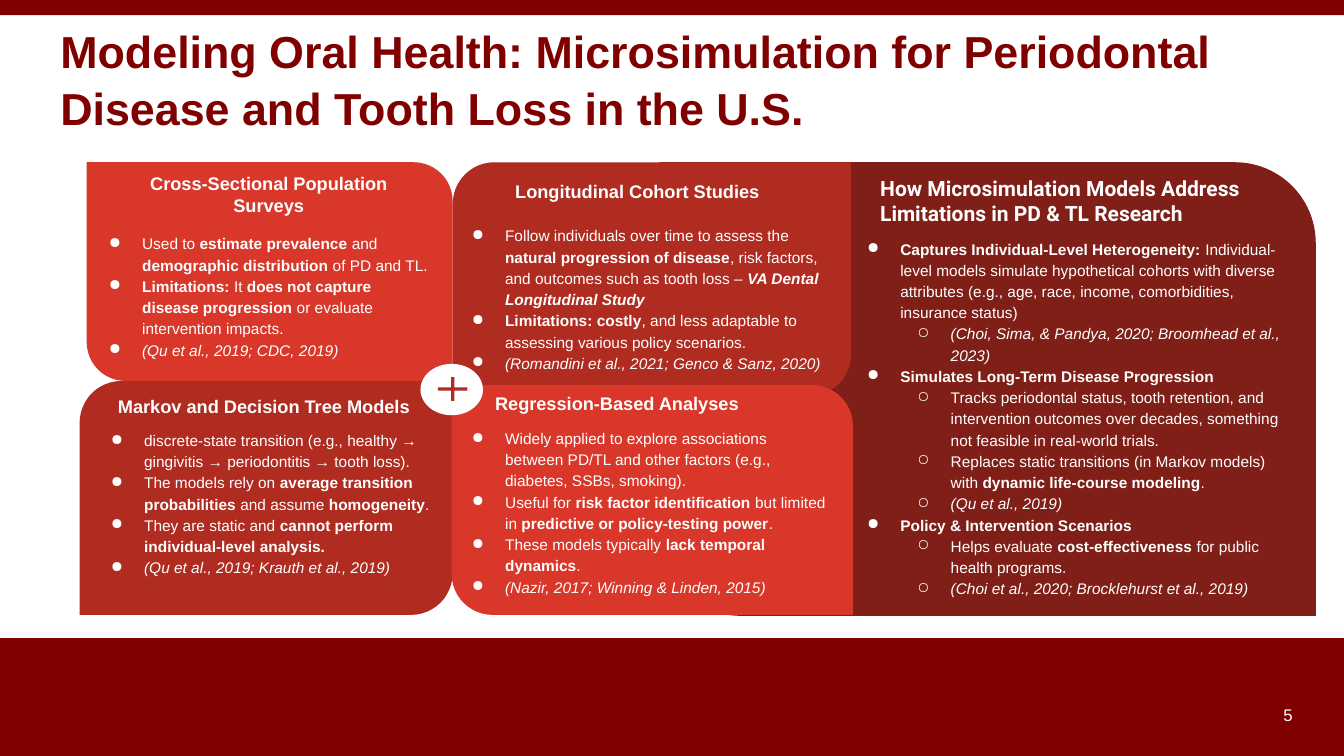
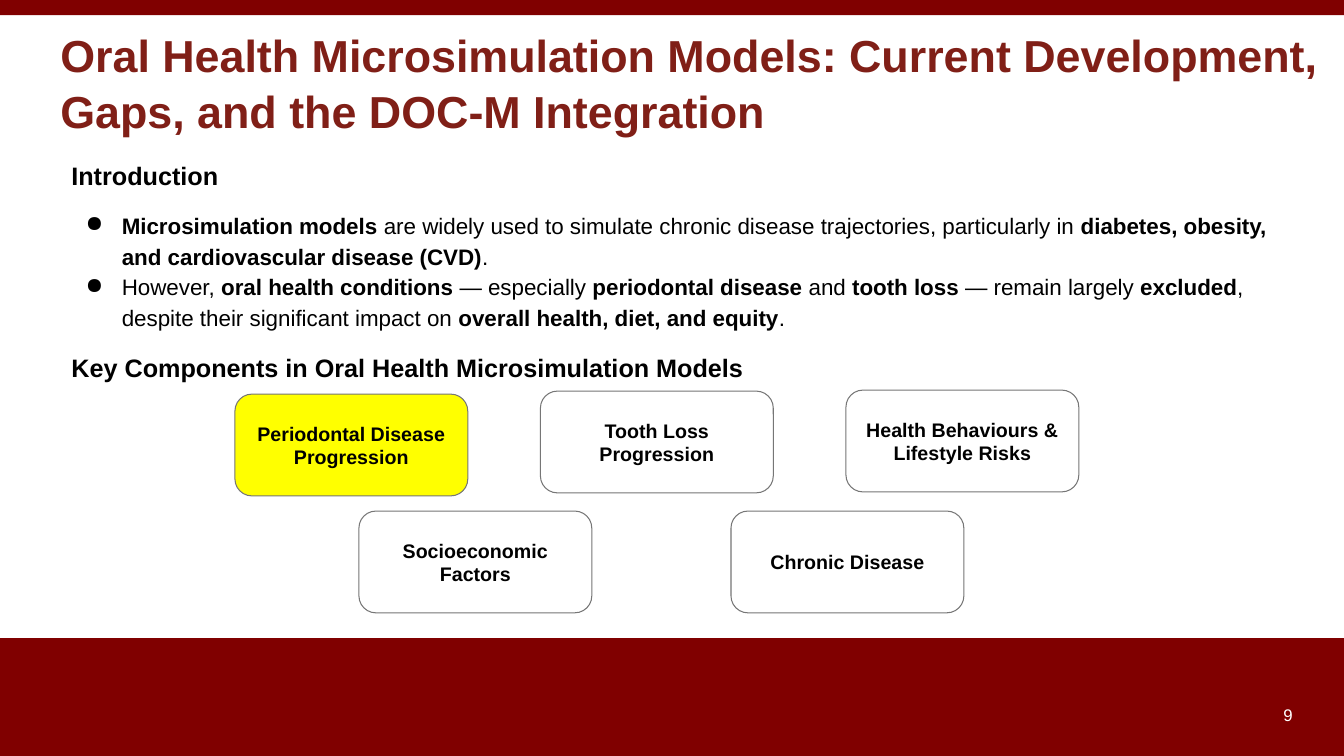
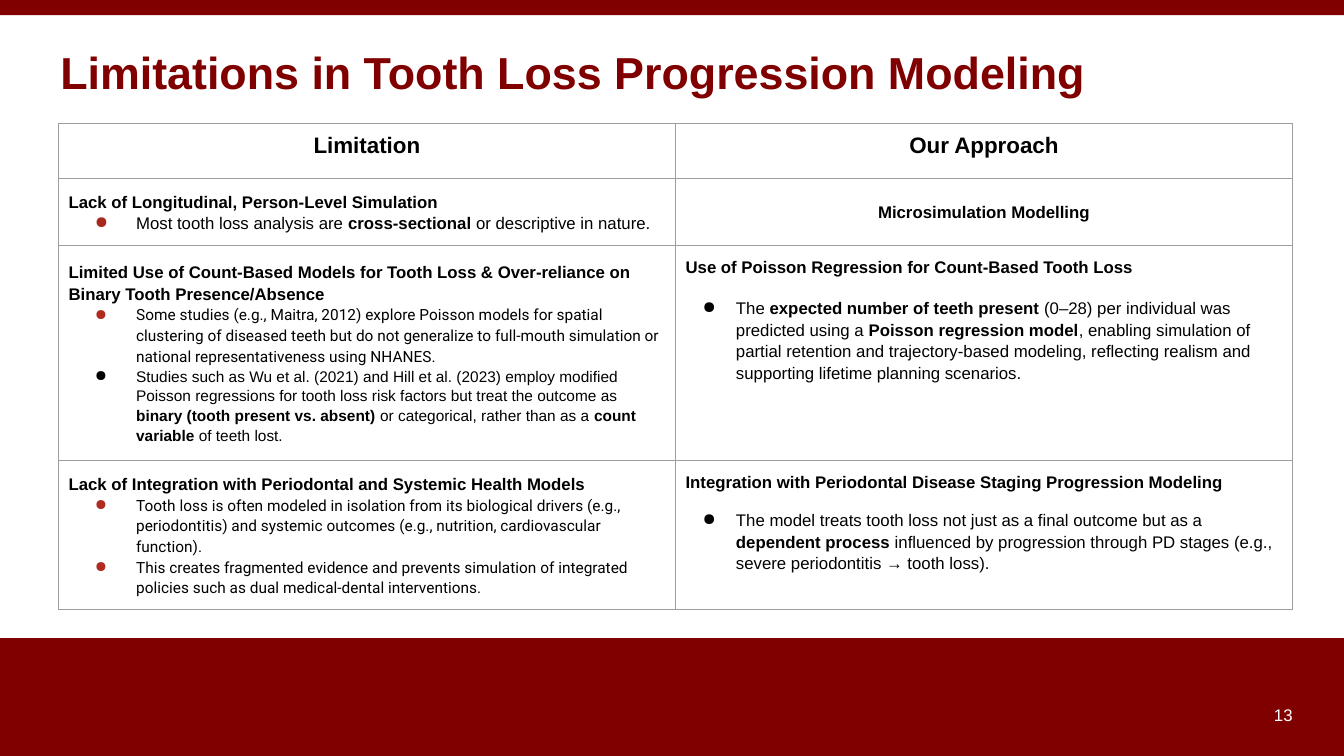
from lxml import etree
from pptx import Presentation
from pptx.dml.color import RGBColor
from pptx.enum.shapes import MSO_SHAPE
from pptx.enum.text import MSO_ANCHOR, PP_ALIGN
from pptx.oxml.ns import qn
from pptx.util import Inches, Pt

TOP, MIDDLE, BOTTOM = MSO_ANCHOR.TOP, MSO_ANCHOR.MIDDLE, MSO_ANCHOR.BOTTOM
LEFT, CENTER, RIGHT = PP_ALIGN.LEFT, PP_ALIGN.CENTER, PP_ALIGN.RIGHT
RECTANGLE, ROUNDED = MSO_SHAPE.RECTANGLE, MSO_SHAPE.ROUNDED_RECTANGLE
DIAGONAL = MSO_SHAPE.ROUND_2_DIAG_RECTANGLE
OVAL, PLUS = MSO_SHAPE.OVAL, MSO_SHAPE.MATH_PLUS

MAROON, DARK, BRICK, BRIGHT = "800000", "801F17", "B02B20", "D83729"
WHITE, BLACK, YELLOW = "FFFFFF", "000000", "FFFF00"
CARD_LINE, TABLE_LINE = "767676", "9E9E9E"

# Paragraph styles; each is laid over BASE
BASE = dict(size=12, font="Arial", color=BLACK, bold=False, align=LEFT,
            spacing=1.0, before=0, bullet=None, bullet_color=BLACK, margin=0, indent=0)
PANEL = dict(size=11, color=WHITE, bullet_color=WHITE, spacing=1.15, indent=-0.33)
POINT = dict(spacing=1.15, bullet="●", margin=0.5, indent=-0.36, size=16)
CELL = dict(spacing=1.15, bullet="●", margin=0.67, indent=-0.41)
APPROACH = dict(spacing=1.15, bullet="●", margin=0.5, indent=-0.33)
STYLES = {
    "title": dict(size=32, bold=True, color=MAROON, spacing=1.05),
    "title dark": dict(size=32, bold=True, color=DARK, spacing=1.05),
    "number": dict(color=WHITE, align=RIGHT),
    "panel head": dict(size=13, color=WHITE, bold=True),
    "panel head centred": dict(size=13, color=WHITE, bold=True, align=CENTER),
    "panel head wide": dict(size=15, color=WHITE, bold=True, font="Roboto"),
    "●": dict(PANEL, bullet="●", margin=0.5),
    "○": dict(PANEL, bullet="○", margin=1),
    "section": dict(size=18, bold=True, spacing=1.15),
    "section next": dict(size=18, bold=True, spacing=1.15, before=12),
    "point first": dict(POINT, before=12),
    "point": POINT,
    "card": dict(size=14, bold=True, align=CENTER),
    "table head": dict(size=16, bold=True, align=CENTER),
    "cell head": dict(bold=True, spacing=1.15),
    "cell centred": dict(bold=True, spacing=1.15, align=CENTER),
    "cell point": dict(CELL, bullet_color="A7291E"),
    "cell roboto": dict(CELL, size=11, font="Roboto", bullet_color=BRICK),
    "cell small": dict(CELL, size=11),
    "approach": dict(APPROACH, before=14),
    "approach near": dict(APPROACH, before=12),
}

# Content: * switches bold, _ switches italic
TITLES = [
    ("title", "Modeling Oral Health: Microsimulation for Periodontal Disease "
     "and Tooth Loss in the U.S.", (0.5, 0.35, 12.33, 0.84), "5"),
    ("title dark", "Oral Health Microsimulation Models: Current Development, Gaps, "
     "and the DOC-M Integration", (0.5, 0.32, 13.27, 0.97), "9"),
    ("title", "Limitations in Tooth Loss Progression Modeling",
     (0.5, 0.35, 12.33, 0.7), "13"),
]

FALLING, RISING = (0.178, 0), (0, 0.178)  # which diagonal is rounded
PANELS = [
    dict(box=(6.54, 1.61, 6.51, 4.5), corners=RISING, fill=DARK,
         head_box=(8.6, 1.61, 4.23, 0.67), head_style="panel head wide",
         head="How Microsimulation Models Address Limitations in PD & TL Research",
         body_box=(8.3, 2.22, 4.63, 3.82), body=[
             ("●", "*Captures Individual-Level Heterogeneity: *Individual-level models simulate "
              "hypothetical cohorts with diverse attributes (e.g., age, race, income, "
              "comorbidities, insurance status)"),
             ("○", "_(Choi, Sima, & Pandya, 2020; Broomhead et al., 2023)_"),
             ("●", "*Simulates Long-Term Disease Progression*"),
             ("○", "Tracks periodontal status, tooth retention, and intervention outcomes "
              "over decades, something not feasible in real-world trials."),
             ("○", "Replaces static transitions (in Markov models) with "
              "*dynamic life-course modeling*."),
             ("○", "_(Qu et al., 2019)_"),
             ("●", "*Policy & Intervention Scenarios*"),
             ("○", "Helps evaluate *cost-effectiveness* for public health programs."),
             ("○", "_(Choi et al., 2020; Brocklehurst et al., 2019)_")]),
    dict(box=(4.49, 1.61, 3.95, 2.32), corners=FALLING, fill=BRICK,
         head_box=(4.98, 1.68, 2.95, 0.62), head_style="panel head",
         head="Longitudinal Cohort Studies",
         body_box=(4.38, 2.09, 4.13, 1.7), body=[
             ("●", "Follow individuals over time to assess the *natural progression of disease*, "
              "risk factors, and outcomes such as tooth loss – "
              "*_VA Dental Longitudinal Study_*"),
             ("●", "*Limitations: costly*, and less adaptable to assessing various "
              "policy scenarios."),
             ("●", "_(Romandini et al., 2021; Genco & Sanz, 2020)_")]),
    dict(box=(0.86, 1.61, 3.63, 2.17), corners=RISING, fill=BRIGHT,
         head_box=(1, 1.7, 3.33, 0.46), head_style="panel head centred",
         head="Cross-Sectional Population Surveys",
         body_box=(0.78, 2.17, 3.63, 1.47), body=[
             ("●", "Used to *estimate prevalence* and *demographic distribution* of PD and TL."),
             ("●", "*Limitations: *It *does not capture disease progression* or evaluate "
              "intervention impacts."),
             ("●", "_(Qu et al., 2019; CDC, 2019)_")]),
    dict(box=(0.79, 3.78, 3.7, 2.32), corners=FALLING, fill=BRICK,
         head_box=(1.04, 3.81, 3.36, 0.4), head_style="panel head",
         head="Markov and Decision Tree Models",
         body_box=(0.8, 4.12, 3.63, 1.43), body=[
             ("●", "discrete-state transition (e.g., healthy → gingivitis → periodontitis "
              "→ tooth loss)."),
             ("●", "The models rely on *average transition probabilities* and assume "
              "*homogeneity*."),
             ("●", "They are static and *cannot perform individual-level analysis.*"),
             ("●", "_(Qu et al., 2019; Krauth et al., 2019)_")]),
    dict(box=(4.48, 3.82, 3.98, 2.28), corners=RISING, fill=BRIGHT,
         head_box=(4.78, 3.78, 3.59, 0.39), head_style="panel head",
         head="Regression-Based Analyses",
         body_box=(4.38, 4.1, 3.98, 1.88), body=[
             ("●", "Widely applied to explore associations between PD/TL and other factors "
              "(e.g., diabetes, SSBs, smoking)."),
             ("●", "Useful for *risk factor identification* but limited in "
              "*predictive or policy-testing power*."),
             ("●", "These models typically *lack temporal dynamics*."),
             ("●", "_(Nazir, 2017; Winning & Linden, 2015)_")]),
]

INTRODUCTION = [
    ("section", "Introduction"),
    ("point first", "*Microsimulation models* are widely used to simulate chronic disease "
     "trajectories, particularly in *diabetes, obesity, and cardiovascular disease (CVD)*."),
    ("point", "However, *oral health conditions* — especially *periodontal disease* and "
     "*tooth loss* — remain largely *excluded*, despite their significant impact on "
     "*overall health, diet, and equity*."),
    ("section next", "Key Components in Oral Health Microsimulation Models"),
]
CARD_SIZE = (2.31, 1.01)
CARDS = [
    ("Periodontal Disease Progression", 2.33, 3.91, YELLOW),
    ("Tooth Loss Progression", 5.36, 3.88, WHITE),
    ("Health Behaviours & Lifestyle Risks", 8.39, 3.87, WHITE),
    ("Socioeconomic Factors", 3.56, 5.07, WHITE),
    ("Chronic Disease", 7.25, 5.07, WHITE),
]

COLUMN_WIDTH = 6.12
ROW_HEIGHTS = [0.55, 0.66, 1.14, 1.14]
# Each cell: anchor, paragraphs
TABLE = [
    [(TOP, [("table head", "Limitation")]),
     (TOP, [("table head", "Our Approach")])],
    [(MIDDLE, [
        ("cell head", "Lack of Longitudinal, Person-Level Simulation"),
        ("cell point", "Most tooth loss analysis are *cross-sectional* or descriptive "
         "in nature.")]),
     (MIDDLE, [("cell centred", "Microsimulation Modelling")])],
    [(MIDDLE, [
        ("cell head", "Limited Use of Count-Based Models for Tooth Loss & Over-reliance on "
         "Binary Tooth Presence/Absence"),
        ("cell roboto", "Some studies (e.g., Maitra, 2012) explore Poisson models for spatial "
         "clustering of diseased teeth but do not generalize to full-mouth simulation or "
         "national representativeness using NHANES."),
        ("cell small", "Studies such as Wu et al. (2021) and Hill et al. (2023) employ modified "
         "Poisson regressions for tooth loss risk factors but treat the outcome as "
         "*binary (tooth present vs. absent)* or categorical, rather than as a "
         "*count variable* of teeth lost.")]),
     (TOP, [
         ("cell head", "Use of Poisson Regression for Count-Based Tooth Loss"),
         ("approach", "The *expected number of teeth present* (0–28) per individual was "
          "predicted using a *Poisson regression model*, enabling simulation of partial "
          "retention and trajectory-based modeling, reflecting realism and supporting "
          "lifetime planning scenarios.")])],
    [(MIDDLE, [
        ("cell head", "Lack of Integration with Periodontal and Systemic Health Models"),
        ("cell roboto", "Tooth loss is often modeled in isolation from its biological drivers "
         "(e.g., periodontitis) and systemic outcomes (e.g., nutrition, cardiovascular "
         "function)."),
        ("cell roboto", "This creates fragmented evidence and prevents simulation of integrated "
         "policies such as dual medical-dental interventions.")]),
     (TOP, [
         ("cell head", "Integration with Periodontal Disease Staging Progression Modeling"),
         ("approach near", "The model treats tooth loss not just as a final outcome but as a "
          "*dependent process* influenced by progression through PD stages (e.g., severe "
          "periodontitis → tooth loss).")])],
]


def rgb(value):
    return RGBColor.from_string(value)


def inches(box):
    return [Inches(length) for length in box]


def add_bullet(paragraph, style):
    properties = paragraph._p.get_or_add_pPr()
    properties.set("marL", str(Inches(style["margin"])))
    properties.set("indent", str(Inches(style["indent"])))
    color = etree.SubElement(properties, qn("a:buClr"))
    etree.SubElement(color, qn("a:srgbClr"), val=style["bullet_color"])
    etree.SubElement(properties, qn("a:buChar"), char=style["bullet"])


def add_runs(paragraph, text, style):
    bold, italic = style["bold"], False
    for piece in text.replace("*", "\0*\0").replace("_", "\0_\0").split("\0"):
        if piece == "*":
            bold = not bold
        elif piece == "_":
            italic = not italic
        elif piece:
            run = paragraph.add_run()
            run.text = piece
            run.font.name, run.font.size = style["font"], Pt(style["size"])
            run.font.bold, run.font.italic = bold, italic
            run.font.color.rgb = rgb(style["color"])


def write(text_frame, paragraphs):
    for index, (style_name, text) in enumerate(paragraphs):
        style = {**BASE, **STYLES[style_name]}
        paragraph = text_frame.add_paragraph() if index else text_frame.paragraphs[0]
        if style["bullet"]:
            add_bullet(paragraph, style)
        paragraph.alignment = style["align"]
        paragraph.line_spacing = style["spacing"]
        paragraph.space_before = Pt(style["before"])
        add_runs(paragraph, text, style)


def set_frame(text_frame, anchor, margins):
    text_frame.word_wrap = True
    text_frame.vertical_anchor = anchor
    (text_frame.margin_left, text_frame.margin_top,
     text_frame.margin_right, text_frame.margin_bottom) = inches(margins)


def add_text(slide, box, paragraphs, anchor=TOP, margins=(0.13,) * 4):
    text_frame = slide.shapes.add_textbox(*inches(box)).text_frame
    set_frame(text_frame, anchor, margins)
    write(text_frame, paragraphs)


def add_block(slide, kind, box, fill, adjustments=(), line=None):
    shape = slide.shapes.add_shape(kind, *inches(box))
    shape.shadow.inherit = False
    for index, value in enumerate(adjustments):
        shape.adjustments[index] = value
    shape.fill.solid()
    shape.fill.fore_color.rgb = rgb(fill)
    if line:
        shape.line.color.rgb = rgb(line)
        shape.line.width = Pt(0.75)
    else:
        shape.line.fill.background()
    return shape


def start_slide(presentation, style, title, box, number):
    """Blank slide with both bands, the title and the slide number."""
    slide = presentation.slides.add_slide(presentation.slide_layouts[6])
    for band in [(0, 6.33, 13.33, 1.17), (0, 0, 13.33, 0.15)]:
        add_block(slide, RECTANGLE, band, MAROON)
    add_text(slide, box, [(style, title)], MIDDLE, (0.1, 0.3, 0.1, 0.3))
    add_text(slide, (5.14, 6.61, 7.68, 0.58), [("number", number)], BOTTOM, (0,) * 4)
    return slide


def add_panels(slide):
    for panel in PANELS:
        add_block(slide, DIAGONAL, panel["box"], panel["fill"], panel["corners"])
        anchor = MIDDLE if panel["head_style"] == "panel head centred" else TOP
        add_text(slide, panel["head_box"], [(panel["head_style"], panel["head"])], anchor)
        add_text(slide, panel["body_box"], panel["body"])
    # Plus badge where the panels meet
    add_block(slide, OVAL, (4.17, 3.61, 0.62, 0.51), WHITE)
    add_block(slide, PLUS, (4.29, 3.7, 0.4, 0.32), BRICK, [0.099])


def add_components(slide):
    add_text(slide, (0.61, 1.45, 12.33, 2.15), INTRODUCTION, TOP, (0.1, 0.1, 0.1, 0.3))
    for label, left, top, fill in CARDS:
        card = add_block(slide, ROUNDED, (left, top, *CARD_SIZE), fill, [0.167], CARD_LINE)
        set_frame(card.text_frame, MIDDLE, (0.1,) * 4)
        write(card.text_frame, [("card", label)])


def add_borders(cell):
    properties = cell._tc.get_or_add_tcPr()
    for side in ("a:lnL", "a:lnR", "a:lnT", "a:lnB"):
        line = etree.SubElement(properties, qn(side), w=str(Pt(0.75)))
        fill = etree.SubElement(line, qn("a:solidFill"))
        etree.SubElement(fill, qn("a:srgbClr"), val=TABLE_LINE)


def add_limitations(slide):
    box = (0.58, 1.22, 2 * COLUMN_WIDTH, sum(ROW_HEIGHTS))
    table = slide.shapes.add_table(len(TABLE), 2, *inches(box)).table
    table.first_row = table.horz_banding = False
    for column in table.columns:
        column.width = Inches(COLUMN_WIDTH)
    for row_index, (height, cells) in enumerate(zip(ROW_HEIGHTS, TABLE)):
        table.rows[row_index].height = Inches(height)
        for column_index, (anchor, paragraphs) in enumerate(cells):
            cell = table.cell(row_index, column_index)
            add_borders(cell)
            cell.fill.background()
            cell.vertical_anchor = anchor
            (cell.margin_left, cell.margin_top,
             cell.margin_right, cell.margin_bottom) = inches((0.1,) * 4)
            write(cell.text_frame, paragraphs)


def main():
    presentation = Presentation()
    presentation.slide_width, presentation.slide_height = Inches(13.33), Inches(7.5)
    for heading, fill_slide in zip(TITLES, (add_panels, add_components, add_limitations)):
        fill_slide(start_slide(presentation, *heading))
    presentation.save("out.pptx")


if __name__ == "__main__":
    main()
